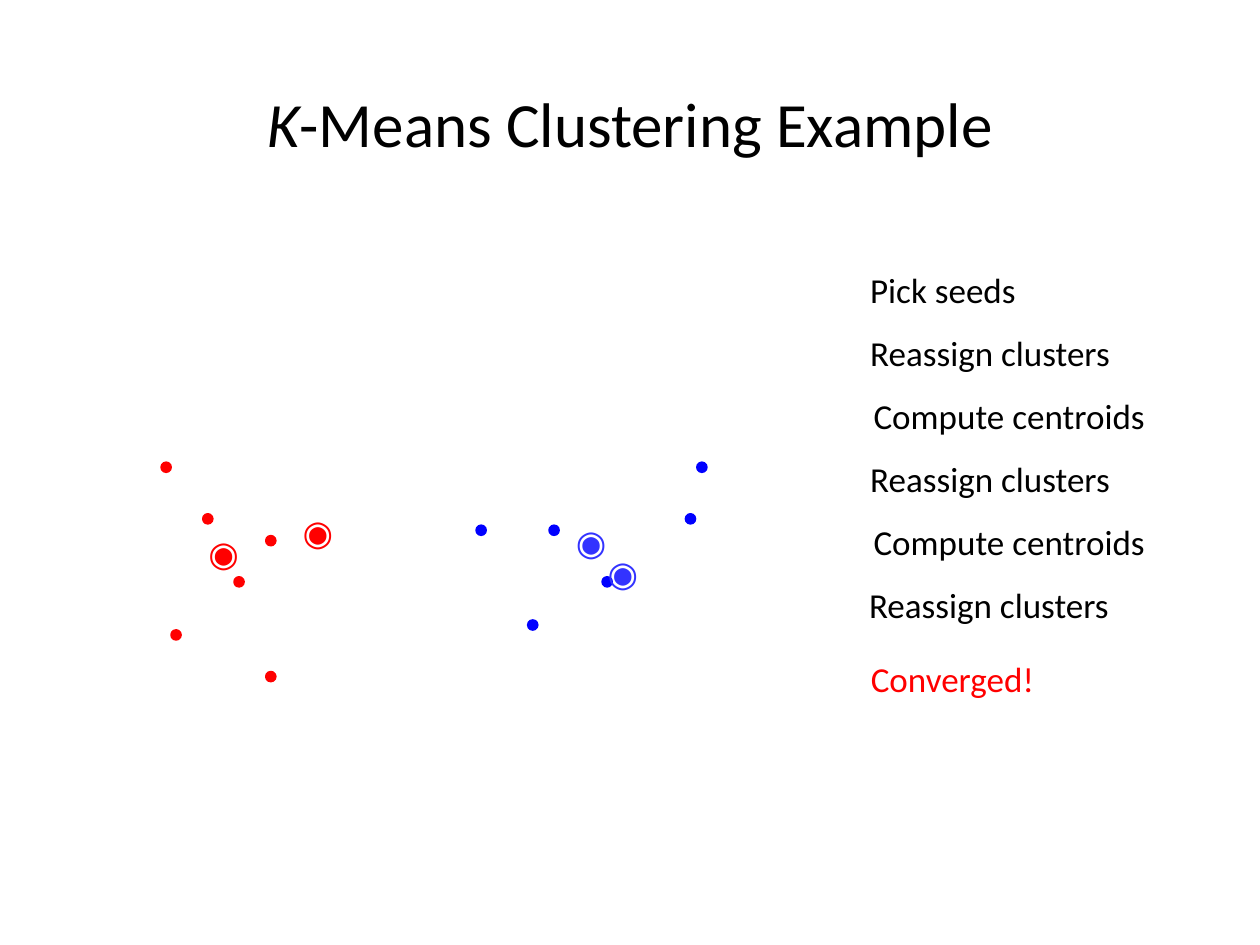
import pptx
import pptx.util
import pptx.dml.color
import pptx.enum.shapes
import pptx.enum.text

Cm = pptx.util.Cm
Pt = pptx.util.Pt
RGBColor = pptx.dml.color.RGBColor
PP_ALIGN = pptx.enum.text.PP_ALIGN

BLACK = RGBColor(0x00, 0x00, 0x00)
RED = RGBColor(0xFF, 0x00, 0x00)
BLUE = RGBColor(0x00, 0x00, 0xFF)
CENTROID_BLUE = RGBColor(0x33, 0x33, 0xFF)

TITLE = [("K", True), ("-Means Clustering Example", False)]
STEPS = [
    ("Pick seeds", 3.48, PP_ALIGN.CENTER),
    ("Reassign clusters", 5.38, PP_ALIGN.CENTER),
    ("Compute centroids", 6.15, PP_ALIGN.CENTER),
    ("Reassign clusters", 5.38, PP_ALIGN.CENTER),
    ("Compute centroids", 6.15, PP_ALIGN.CENTER),
    ("Reassign clusters", 5.38, PP_ALIGN.LEFT),
]
CLUSTERS = [
    (RED, [(3.25, 9.32), (4.09, 10.36), (5.36, 10.8), (4.72, 11.63),
           (5.36, 13.54), (3.45, 12.7)]),
    (BLUE, [(12.14, 11.63), (10.64, 12.5), (13.82, 10.36), (11.07, 10.59),
            (14.05, 9.32), (9.6, 10.59)]),
]
CENTROIDS = [
    (RED, [(5.84, 10.16), (3.94, 10.59)]),
    (CENTROID_BLUE, [(11.99, 11), (11.35, 10.36)]),
]

DOT = 0.2
STEP_LEFT, STEP_TOP, STEP_PITCH = 17.27, 5.28, 1.27
LABEL_HEIGHT = 1.12
CENTROID_WIDTH = 1.14


def add_label(s, text, left, top, width, color, font="Calibri", align=PP_ALIGN.CENTER):
    tf = s.shapes.add_textbox(Cm(left), Cm(top), Cm(width), Cm(LABEL_HEIGHT)).text_frame
    tf.word_wrap = False
    tf.auto_size = pptx.enum.text.MSO_AUTO_SIZE.SHAPE_TO_FIT_TEXT
    tf.text = text
    p = tf.paragraphs[0]
    p.alignment = align
    r = p.runs[0]
    r.font.name = font
    r.font.size = Pt(20)
    r.font.color.rgb = color


def add_dot(s, left, top, color):
    sp = s.shapes.add_shape(pptx.enum.shapes.MSO_SHAPE.OVAL,
                            Cm(left), Cm(top), Cm(DOT), Cm(DOT))
    sp.shadow.inherit = False
    sp.fill.solid()
    sp.fill.fore_color.rgb = color
    sp.line.color.rgb = color
    sp.line.width = Pt(1)


def add_title(s):
    sp = s.shapes.title
    sp.left, sp.top, sp.width, sp.height = Cm(0), Cm(1.52), Cm(25.4), Cm(1.91)
    tf = sp.text_frame
    tf.vertical_anchor = pptx.enum.text.MSO_ANCHOR.MIDDLE
    p = tf.paragraphs[0]
    p.alignment = PP_ALIGN.CENTER
    for text, italic in TITLE:
        r = p.add_run()
        r.text = text
        r.font.name = "Calibri"
        r.font.size = Pt(36)
        r.font.italic = italic
        r.font.color.rgb = BLACK


def main():
    prs = pptx.Presentation()
    prs.slide_width, prs.slide_height = Cm(25.4), Cm(19.05)
    s = prs.slides.add_slide(prs.slide_layouts[5])
    add_title(s)
    for color, points in CLUSTERS:
        for left, top in points:
            add_dot(s, left, top, color)
    for color, points in CENTROIDS:
        for left, top in points:
            add_label(s, "◉", left, top, CENTROID_WIDTH, color, "Arial")
    for i, (text, width, align) in enumerate(STEPS):
        add_label(s, text, STEP_LEFT, STEP_TOP + i * STEP_PITCH, width, BLACK, align=align)
    add_label(s, "Converged!", STEP_LEFT, 13.13, 3.86, RED)
    prs.save("out.pptx")


if __name__ == "__main__":
    main()
